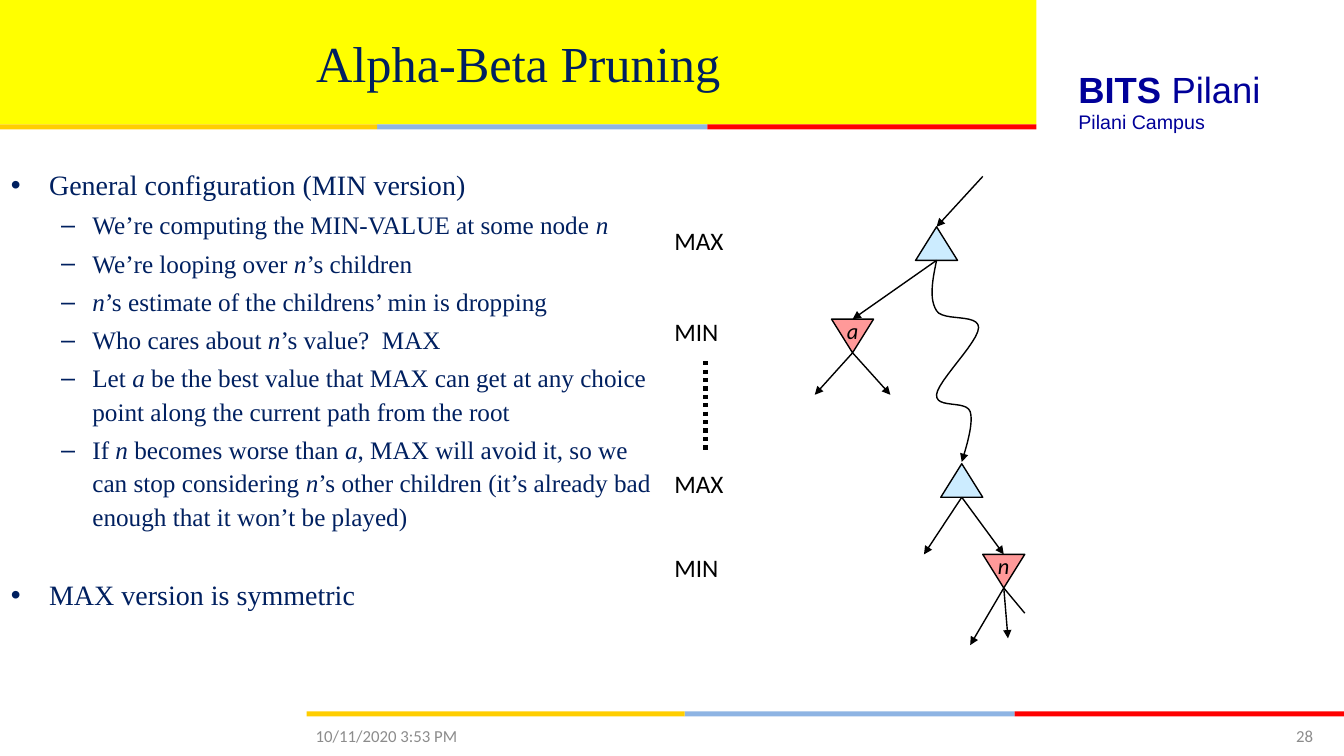
from pptx import Presentation
from pptx import util as u
from pptx.dml.color import RGBColor
from pptx.enum import dml, shapes, text
from pptx.oxml.ns import qn
from lxml import etree

COLS, ROWS = 160, 90  # grid cells across and down the slide
CELL = u.Inches(1) / 12
NODE_W, NODE_H = 5, 4

COLORS = {
    "banner": "FFFF00", "gold": "FFCE00", "sky": "8EB4E3", "red": "FF0000",
    "brand": "000099", "navy": "002060", "black": "000000", "grey": "8C8C8C",
    "max": "CCECFF", "min": "FF9999",
}
SERIF, SANS, BRAND = "Times New Roman", "Calibri", "Arial"

# (level, text); asterisks enclose italics
BULLETS = [
    (0, "General configuration (MIN version)"),
    (1, "We’re computing the MIN-VALUE at some node *n*"),
    (1, "We’re looping over *n*’s children"),
    (1, "*n*’s estimate of the childrens’ min is dropping"),
    (1, "Who cares about *n*’s value?  MAX"),
    (1, "Let *a* be the best value that MAX can get at any choice point "
        "along the current path from the root"),
    (1, "If *n* becomes worse than *a*, MAX will avoid it, so we can stop "
        "considering *n*’s other children (it’s already bad enough that it "
        "won’t be played)"),
    (0, "MAX version is symmetric"),
]
# bullet, left margin, hanging indent (inches), size, space before (points)
LEVELS = [("•", 0.38, 0.38, 20, 4), ("–", 0.81, 0.31, 18, 3.6)]
SECTION_GAP = 31

PATH_START = (111.5, 31)
PATH_CURVES = [  # two control points and an end point each
    ((111, 33.4), (110.6, 35.6), (111.5, 37)),
    ((112.3, 38.3), (116.5, 37.3), (116.5, 39)),
    ((116.5, 40.7), (111.6, 45.4), (111.5, 47)),
    ((111.4, 48.7), (115, 47.6), (115.5, 49)),
    ((115.9, 50.3), (115.2, 52.7), (114.5, 55)),
]


def cells(*values):
    return [u.Emu(round(v * CELL)) for v in values]


def rgb(name):
    return RGBColor.from_string(COLORS[name])


def style(font, size, face, color):
    font.size, font.name = u.Pt(size), face
    font.color.rgb = rgb(color)


def add_block(s, kind, box, fill, outlined=False):
    sp = s.shapes.add_shape(kind, *cells(*box))
    sp.shadow.inherit = False
    sp.fill.solid()
    sp.fill.fore_color.rgb = rgb(fill)
    if outlined:
        sp.line.color.rgb = rgb("black")
        sp.line.width = u.Pt(1)
    else:
        sp.line.fill.background()
    return sp


def add_stripe(s, left, top):
    for color, offset, width in (("sky", 45, 39.3), ("red", 84.3, 39.2), ("gold", 0, 45)):
        add_block(s, shapes.MSO_SHAPE.RECTANGLE, (left + offset, top, width, 0.6), color)


def add_text(s, box, words, size, face, color, align=text.PP_ALIGN.LEFT,
             anchor=text.MSO_ANCHOR.MIDDLE, wrap=True):
    tf = s.shapes.add_textbox(*cells(*box)).text_frame
    tf.word_wrap, tf.vertical_anchor = wrap, anchor
    p = tf.paragraphs[0]
    p.text, p.alignment = words, align
    style(p.runs[0].font, size, face, color)
    return p


def add_title(s, words):
    title = s.shapes.title
    title.left, title.top, title.width, title.height = cells(0, 0, 123.4, 14.8)
    tf = title.text_frame
    tf.text, tf.vertical_anchor = words, text.MSO_ANCHOR.MIDDLE
    p = tf.paragraphs[0]
    p.alignment = text.PP_ALIGN.CENTER
    style(p.runs[0].font, 36, SERIF, "navy")


def add_bullets(s, box, items):
    tf = s.shapes.add_textbox(*cells(*box)).text_frame
    tf.word_wrap = True
    for i, (level, words) in enumerate(items):
        mark, margin, hang, size, gap = LEVELS[level]
        p = tf.add_paragraph() if i else tf.paragraphs[0]
        p.level, p.line_spacing = level, 1.1
        if i:
            p.space_before = u.Pt(gap if level else SECTION_GAP)
        pPr = p._p.get_or_add_pPr()
        pPr.set("marL", str(u.Inches(margin)))
        pPr.set("indent", str(-u.Inches(hang)))
        etree.SubElement(pPr, qn("a:buFont")).set("typeface", BRAND)
        etree.SubElement(pPr, qn("a:buChar")).set("char", mark)
        for j, part in enumerate(words.split("*")):
            if part:
                r = p.add_run()
                r.text = part
                style(r.font, size, SERIF, "navy")
                r.font.italic = j % 2 == 1


def add_arrowhead(sp):
    etree.SubElement(sp.line._get_or_add_ln(), qn("a:tailEnd")).set("type", "triangle")


def add_line(s, start, end, arrow=True, width=1, dash=None):
    cx = s.shapes.add_connector(shapes.MSO_CONNECTOR.STRAIGHT, *cells(*start, *end))
    cx.line.color.rgb, cx.line.width = rgb("black"), u.Pt(width)
    if dash:
        cx.line.dash_style = dash
    if arrow:
        add_arrowhead(cx)
    etree.SubElement(cx._element.spPr, qn("a:effectLst"))


def add_node(s, center, top, letter=None):
    """Add a MAX triangle, or an inverted MIN triangle when a letter is given."""
    sp = add_block(s, shapes.MSO_SHAPE.ISOSCELES_TRIANGLE,
                   (center - NODE_W / 2, top, NODE_W, NODE_H),
                   "min" if letter else "max", outlined=True)
    if not letter:
        return
    sp._element.spPr.xfrm.set("flipV", "1")
    tf = sp.text_frame
    tf.word_wrap, tf.margin_top = False, u.Inches(0.1)
    tf.vertical_anchor = text.MSO_ANCHOR.MIDDLE
    tf._txBody.bodyPr.set("rot", "10800000")  # keeps the letter upright
    p = tf.paragraphs[0]
    p.text, p.alignment = letter, text.PP_ALIGN.CENTER
    style(p.runs[0].font, 16, SANS, "black")
    p.runs[0].font.italic = True


def add_curve(s, start, curves, steps=12):
    """Add an arrow along a chain of cubic Bezier segments."""
    points, a = [], start
    for b, c, d in curves:
        for t in (k / steps for k in range(1, steps + 1)):
            v = 1 - t
            points.append(tuple(
                v**3 * a[i] + 3 * v * v * t * b[i] + 3 * v * t * t * c[i] + t**3 * d[i]
                for i in (0, 1)))
        a = d
    builder = s.shapes.build_freeform(*cells(*start))
    builder.add_line_segments([cells(*pt) for pt in points], close=False)
    sp = builder.convert_to_shape()
    sp.shadow.inherit = False
    sp.fill.background()
    sp.line.color.rgb, sp.line.width = rgb("black"), u.Pt(1)
    add_arrowhead(sp)


def add_game_tree(s):
    for words, top in (("MAX", 26.2), ("MIN", 37), ("MAX", 55.2), ("MIN", 65.2)):
        add_text(s, (79.1, top, 8.3, 4.8), words, 18, SANS, "black", wrap=False)
    add_line(s, (84, 43), (84, 54), arrow=False, width=3,
             dash=dml.MSO_LINE.ROUND_DOT)
    for node in ((111.5, 27), (101.5, 38, "a"), (114.5, 55.2), (119.5, 66, "n")):
        add_node(s, *node)
    add_curve(s, PATH_START, PATH_CURVES)
    branches = {
        (117, 21): [(111.5, 27)],
        (111.5, 31): [(101.5, 38)],
        (101.5, 42): [(97, 47), (106, 47)],
        (114.5, 59.2): [(110, 66), (119.5, 66)],
        (119.5, 70): [(115.5, 76.8), (120, 76)],
    }
    for start, ends in branches.items():
        for end in ends:
            add_line(s, start, end)
    add_line(s, (119.5, 70), (122, 73), arrow=False)


def main():
    prs = Presentation()
    prs.slide_width, prs.slide_height = cells(COLS, ROWS)
    s = prs.slides.add_slide(prs.slide_layouts[5])
    banner = add_block(s, shapes.MSO_SHAPE.RECTANGLE, (0, 0, 123.4, 14.8), "banner")
    s.shapes.title._element.addprevious(banner._element)
    add_stripe(s, -0.1, 14.8)
    add_stripe(s, 36.5, 84.7)
    add_title(s, "Alpha-Beta Pruning")

    top = text.MSO_ANCHOR.TOP
    p = add_text(s, (127.2, 7.4, 32, 6.5), "BITS ", 26, BRAND, "brand", anchor=top)
    p.runs[0].font.bold = True
    r = p.add_run()
    r.text = "Pilani"
    style(r.font, 26, BRAND, "brand")
    add_text(s, (127.2, 12.5, 28.7, 4.1), "Pilani Campus", 14, BRAND, "brand", anchor=top)

    add_bullets(s, (0.1, 19, 79.8, 59.4), BULLETS)
    add_game_tree(s)
    add_text(s, (36.4, 85.2, 37.3, 4.8), "10/11/2020 3:53 PM", 12, SANS, "grey")
    add_text(s, (140, 85.2, 17.5, 4.8), "28", 12, SANS, "grey", text.PP_ALIGN.RIGHT)
    prs.save("out.pptx")


if __name__ == "__main__":
    main()
